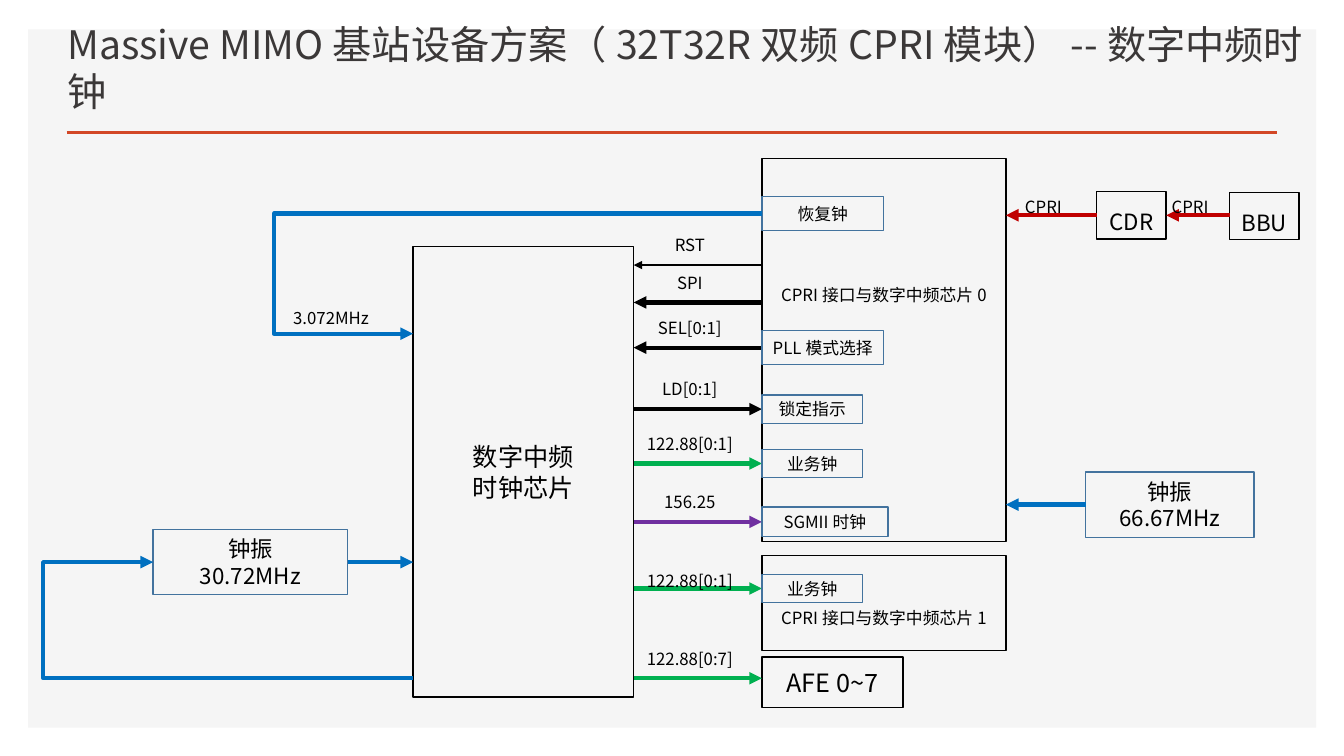
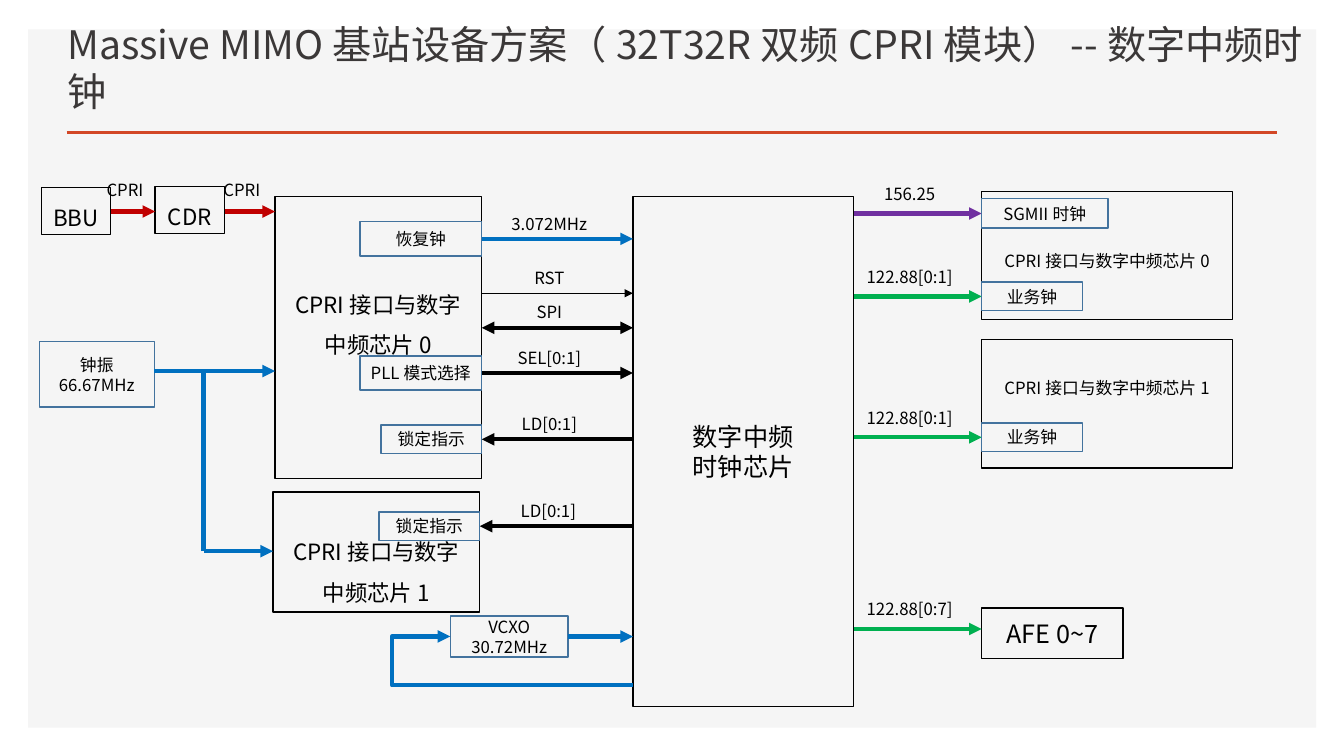
"""Build two slides of base station clock block diagrams."""
from dataclasses import dataclass
from typing import Optional

from lxml.etree import SubElement
from pptx import Presentation
from pptx.dml.color import RGBColor
from pptx.enum.shapes import MSO_CONNECTOR, MSO_SHAPE
from pptx.enum.text import MSO_ANCHOR, PP_ALIGN
from pptx.oxml.ns import qn
from pptx.slide import Slide
from pptx.text.text import TextFrame
from pptx.util import Cm, Pt

FONT = "Noto Sans CJK SC"
TITLE = "Massive MIMO基站设备方案（32T32R双频CPRI模块）--数字中频时钟"
BLACK, STEEL, PANEL, RULE, DARK = "000000", "43739E", "F5F5F5", "D24726", "3B3838"
RED, GREEN, BLUE, PURPLE = "C00000", "00B050", "0070C0", "7030A0"
CHIP = "CPRI接口与数字中频芯片"
LOCK, WORK, PICK, BACK, SGMII = "锁定指示", "业务钟", "PLL模式选择", "恢复钟", "SGMII时钟"
SMALL, TALL = (2.54, 0.72), (3.07, 0.86)
PINS = {LOCK: SMALL, WORK: SMALL, PICK: TALL, BACK: TALL, SGMII: (3.18, 0.74)}
SELECT, LOCKED, CLOCK, FAST = "SEL[0:1]", "LD[0:1]", "122.88[0:1]", "122.88[0:7]"
INSET = 0.13
TAG = 3


@dataclass
class Box:
    """A framed block; shift moves its text down from the middle."""

    x: float
    y: float
    w: float
    h: float
    text: str
    size: int = 12
    edge: str = BLACK
    gap: float = 1
    shift: float = 0

    @property
    def right(self) -> float:
        """Return the right edge."""
        return self.x + self.w

    @property
    def middle(self) -> float:
        """Return the middle height."""
        return self.y + self.h / 2


@dataclass
class Wire:
    """A line from one point to another, bent at turn when given."""

    x: float
    y: float
    to_x: float
    to_y: float
    hue: str = BLUE
    width: int = 3
    head: bool = False
    tail: bool = True
    turn: Optional[float] = None


@dataclass
class Signal:
    """A level signal between two blocks, with its name and port."""

    y: float
    text: str = ""
    hue: str = BLACK
    port: str = ""
    tail: bool = True
    head: bool = False
    width: int = 3


def core(x: float, y: float, h: float) -> Box:
    """Return the clock chip."""
    return Box(x, y, 5.56, h, "数字中频\n时钟芯片", 18)


def unit(x: float, y: float, text: str) -> Box:
    """Return a link unit."""
    return Box(x, y, 1.75, 1.19, text, 16, gap=1.5)


def front(x: float, y: float) -> Box:
    """Return the analog front end."""
    return Box(x, y, 3.56, 1.27, "AFE 0~7", 18)


def source(x: float, y: float, w: float, rate: str, size: int) -> Box:
    """Return an oscillator."""
    return Box(x, y, w, 1.65, f"钟振\n{rate}", size, STEEL)


def tone(code: str) -> RGBColor:
    """Return the colour for a hex string."""
    return RGBColor.from_string(code)


def write(frame: TextFrame, text: str, size: int, hue: str = BLACK, gap: float = 1,
          align: PP_ALIGN = PP_ALIGN.CENTER) -> None:
    """Fill a frame with text and format it."""
    frame.word_wrap = True
    frame.text = text
    for para in frame.paragraphs:
        para.alignment = align
        para.line_spacing = float(gap)
        for run in para.runs:
            run.font.size = Pt(size)
            run.font.color.rgb = tone(hue)
            run.font.name = FONT
            SubElement(run._r.get_or_add_rPr(), qn("a:ea")).set("typeface", FONT)


def draw_box(slide: Slide, box: Box) -> None:
    """Draw a framed block with its text."""
    shape = slide.shapes.add_shape(MSO_SHAPE.RECTANGLE, Cm(box.x), Cm(box.y), Cm(box.w), Cm(box.h))
    shape.shadow.inherit = False
    shape.fill.background()
    shape.line.color.rgb = tone(box.edge)
    shape.line.width = Pt(1)
    frame = shape.text_frame
    frame.vertical_anchor = MSO_ANCHOR.MIDDLE
    frame.margin_top = Cm(INSET + max(0, 2 * box.shift))
    frame.margin_bottom = Cm(INSET + max(0, -2 * box.shift))
    write(frame, box.text, box.size, gap=box.gap)


def draw_wire(slide: Slide, wire: Wire) -> None:
    """Draw a straight or bent wire with its arrowheads."""
    kind = MSO_CONNECTOR.STRAIGHT if wire.turn is None else MSO_CONNECTOR.ELBOW
    link = slide.shapes.add_connector(kind, Cm(wire.x), Cm(wire.y), Cm(wire.to_x), Cm(wire.to_y))
    link.line.color.rgb = tone(wire.hue)
    link.line.width = Pt(wire.width)
    stroke = link.line._get_or_add_ln()
    for name, shown in (("a:headEnd", wire.head), ("a:tailEnd", wire.tail)):
        if shown:
            SubElement(stroke, qn(name)).set("type", "triangle")
    props = link._element.spPr
    SubElement(props, qn("a:effectLst"))
    if wire.turn is not None:
        ratio = (wire.turn - wire.x) / (wire.to_x - wire.x)
        guide = SubElement(props.prstGeom.get_or_add_avLst(), qn("a:gd"))
        guide.set("name", "adj1")
        guide.set("fmla", f"val {round(ratio * 100000)}")


def draw_pin(slide: Slide, host: Box, y: float, text: str, left: bool) -> None:
    """Draw a port inside the left or right edge of its host."""
    w, h = PINS[text]
    x = host.x if left else host.right - w
    draw_box(slide, Box(x, y - h / 2, w, h, text, edge=STEEL))


def draw_lane(slide: Slide, start: Box, end: Box, host: Box, signals: list[Signal], rise: float = 0.88) -> None:
    """Draw the signals between two blocks, with names above and ports in the host."""
    for item in signals:
        draw_wire(slide, Wire(start.right, item.y, end.x, item.y, item.hue, item.width, item.head, item.tail))
        if item.text:
            x = (start.right + end.x - TAG) / 2 - 0.2
            area = slide.shapes.add_textbox(Cm(x), Cm(item.y - rise), Cm(TAG), Cm(0.77))
            write(area.text_frame, item.text, 12)
        if item.port:
            draw_pin(slide, host, item.y, item.port, host is end)


def draw_loop(slide: Slide, start: Box, y: float, end: Box, to_y: float, turn: float) -> None:
    """Draw a bent wire between the left edges of two blocks."""
    draw_wire(slide, Wire(start.x, y, end.x, to_y, turn=turn))


def draw_base(slide: Slide) -> None:
    """Draw the panel, rule and title that all slides share."""
    panel = slide.shapes.add_shape(MSO_SHAPE.RECTANGLE, Cm(0.71), Cm(0.74), Cm(32.46), Cm(17.6))
    panel.shadow.inherit = False
    panel.fill.solid()
    panel.fill.fore_color.rgb = tone(PANEL)
    panel.line.fill.background()
    draw_wire(slide, Wire(1.68, 3.33, 32.18, 3.33, RULE, 2, tail=False))
    title = slide.shapes.add_textbox(Cm(1.45), Cm(1.24), Cm(32.08), Cm(1.78))
    title.text_frame.vertical_anchor = MSO_ANCHOR.BOTTOM
    write(title.text_frame, TITLE, 28, DARK, align=PP_ALIGN.LEFT)


def draw_first(slide: Slide) -> None:
    """Draw the clock chip left of both interface chips."""
    main = core(10.41, 6.22, 11.35)
    local = source(3.86, 13.34, 4.9, "30.72MHz", 16)
    far = source(27.36, 11.89, 4.24, "66.67MHz", 16)
    host = Box(19.2, 3.99, 6.15, 9.65, CHIP + "0", gap=1.5, shift=-1.52)
    peer = Box(host.x, 14, host.w, 2.39, CHIP + "1", gap=1.5, shift=0.25)
    relay, base = unit(27.64, 4.83, "CDR"), unit(30.99, 4.85, "BBU")
    afe = front(host.x, 16.56)
    for box in (main, local, far, host, peer, relay, base, afe):
        draw_box(slide, box)
    draw_lane(slide, main, host, host, [
        Signal(6.68, "RST", tail=False, head=True, width=1),
        Signal(7.62, "SPI", tail=False, head=True),
        Signal(8.76, SELECT, port=PICK, tail=False, head=True),
        Signal(10.31, LOCKED, port=LOCK),
        Signal(11.68, CLOCK, GREEN, WORK),
        Signal(13.15, "156.25", PURPLE, SGMII),
        Signal(17.09, FAST, GREEN),
    ])
    draw_lane(slide, main, peer, peer, [Signal(14.83, CLOCK, GREEN, WORK)], 0.58)
    back = 5.38
    draw_pin(slide, host, back, BACK, True)
    draw_loop(slide, host, back, main, 8.41, 6.91)
    draw_loop(slide, main, 17.09, local, local.middle, 1.09)
    draw_lane(slide, local, main, main, [Signal(local.middle, hue=BLUE)])
    draw_lane(slide, host, far, host, [Signal(far.middle, hue=BLUE, tail=False, head=True)])
    for start, end in ((host, relay), (relay, base)):
        draw_lane(slide, start, end, start, [Signal(relay.middle, "CPRI", RED, tail=False, head=True)], 0.6)
    area = slide.shapes.add_textbox(Cm(7.14), Cm(7.62), Cm(2.62), Cm(0.77))
    write(area.text_frame, "3.072MHz", 12, align=PP_ALIGN.LEFT)


def draw_second(slide: Slide) -> None:
    """Draw the clock chip between two pairs of interface chips."""
    main = core(15.95, 4.95, 12.85)
    local = Box(11.35, 15.52, 2.97, 1.04, "VCXO\n30.72MHz", edge=STEEL)
    far = source(0.99, 8.61, 2.9, "66.67MHz", 12)
    host = Box(6.93, main.y, 5.21, 7.11, CHIP + "0", 16, gap=1.5, shift=-0.49)
    peer = Box(6.88, 12.4, host.w, 3.02, CHIP + "1", 16, gap=1.5, shift=0.34)
    upper = Box(24.74, 4.83, 6.32, 3.23, CHIP + "0", gap=1.5)
    lower = Box(upper.x, 8.56, upper.w, upper.h, CHIP + "1", gap=1.5, shift=-0.53)
    base, relay = unit(1.04, 4.72, "BBU"), unit(3.91, 4.7, "CDR")
    afe = front(upper.x, 15.32)
    for box in (main, local, far, host, peer, upper, lower, base, relay, afe):
        draw_box(slide, box)
    draw_lane(slide, host, main, host, [
        Signal(6.02, "3.072MHz", BLUE, BACK),
        Signal(7.39, "RST", width=1),
        Signal(8.26, "SPI", head=True),
        Signal(9.4, SELECT, port=PICK),
        Signal(11.07, LOCKED, port=LOCK, tail=False, head=True),
    ], 0.77)
    draw_lane(slide, peer, main, peer, [Signal(13.26, LOCKED, port=LOCK, tail=False, head=True)], 0.77)
    draw_lane(slide, main, upper, upper, [
        Signal(5.38, "156.25", PURPLE, SGMII),
        Signal(7.47, CLOCK, GREEN, WORK),
    ])
    draw_lane(slide, main, lower, lower, [Signal(11.02, CLOCK, GREEN, WORK)])
    draw_lane(slide, main, afe, afe, [Signal(15.85, FAST, GREEN)])
    draw_loop(slide, main, 17.27, local, local.middle, 9.88)
    draw_lane(slide, local, main, main, [Signal(local.middle, hue=BLUE)])
    for start, end in ((base, relay), (relay, host)):
        draw_lane(slide, start, end, start, [Signal(5.33, "CPRI", RED)], 0.92)
    feed, fork, drop = 9.35, 5.13, 13.89
    draw_lane(slide, far, host, host, [Signal(feed, hue=BLUE)])
    draw_wire(slide, Wire(fork, drop, fork, feed, tail=False))
    draw_wire(slide, Wire(fork, drop, peer.x, drop))


deck = Presentation()
deck.slide_width, deck.slide_height = Cm(33.87), Cm(19.05)
for draw in (draw_first, draw_second):
    slide = deck.slides.add_slide(deck.slide_layouts[6])
    draw_base(slide)
    draw(slide)
deck.save("out.pptx")
